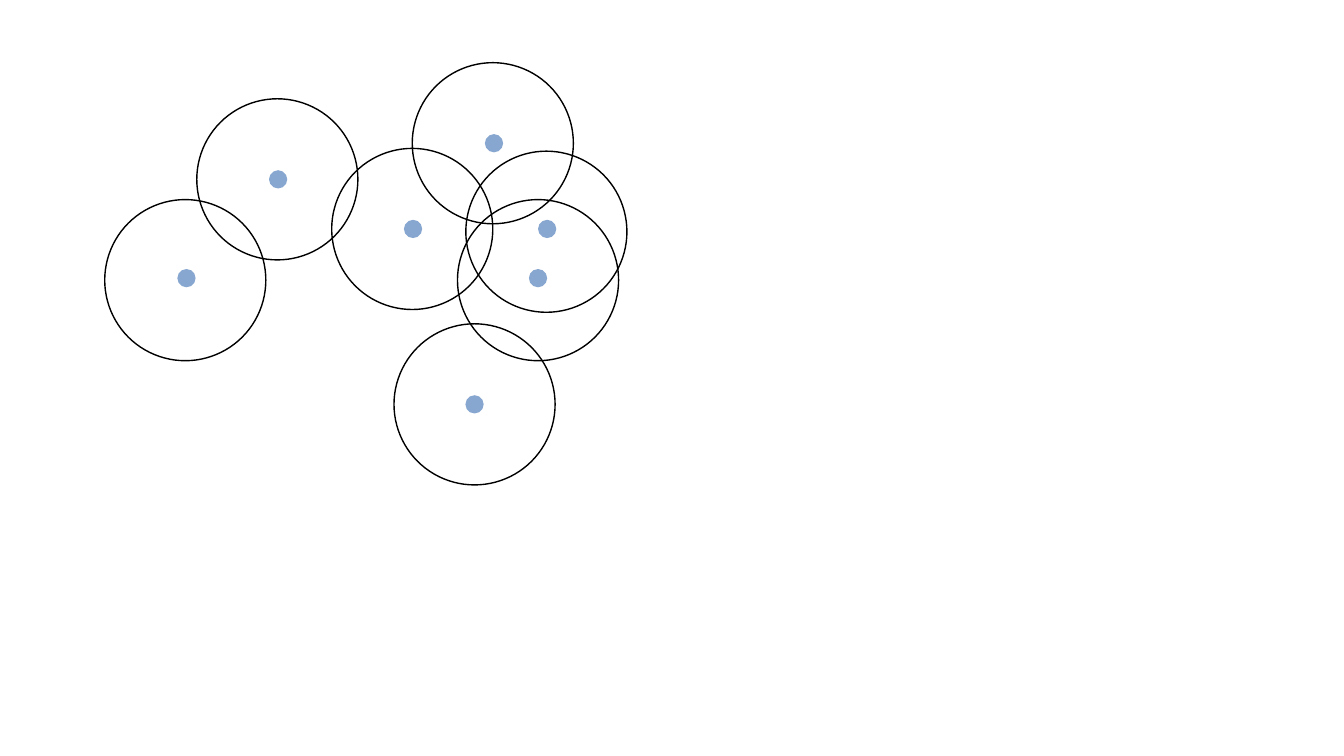
from pptx import Presentation
from pptx.dml.color import RGBColor
from pptx.enum.shapes import MSO_SHAPE as Shape
from pptx.util import Cm, Pt

POINT_CENTRES = [(4.7, 7.01), (7.01, 4.52), (12.45, 3.61), (10.41, 5.77),
                 (13.79, 5.77), (13.56, 7.01), (11.96, 10.19)]
RANGE_CENTRES = [(4.67, 7.06), (6.99, 4.52), (10.39, 5.77), (12.42, 3.61),
                 (13.77, 5.84), (13.56, 7.06), (11.96, 10.19)]


def colour(hex_string):
    return RGBColor.from_string(hex_string)


class CoverageSlide:
    """Draws points and the circular ranges around them on one slide."""

    point_fill = "87A7D0"
    range_line = "000000"
    point_diameter = 0.46
    range_diameter = 4.06

    def __init__(self, slide):
        self.slide = slide

    def circle(self, centre, diameter):
        left, top = (Cm(value - diameter / 2) for value in centre)
        shape = self.slide.shapes.add_shape(
            Shape.OVAL, left, top, Cm(diameter), Cm(diameter))
        shape.shadow.inherit = False
        return shape

    def point(self, centre):
        shape = self.circle(centre, self.point_diameter)
        shape.fill.solid()
        shape.fill.fore_color.rgb = colour(self.point_fill)
        shape.line.fill.background()

    def range_ring(self, centre):
        shape = self.circle(centre, self.range_diameter)
        shape.fill.background()
        shape.line.color.rgb = colour(self.range_line)
        shape.line.width = Pt(1)


def main():
    presentation = Presentation()
    presentation.slide_width = Cm(33.87)
    presentation.slide_height = Cm(19.05)
    blank_layout = presentation.slide_layouts[6]
    coverage = CoverageSlide(presentation.slides.add_slide(blank_layout))
    for centre in POINT_CENTRES:
        coverage.point(centre)
    for centre in RANGE_CENTRES:
        coverage.range_ring(centre)
    presentation.save("out.pptx")


if __name__ == "__main__":
    main()
